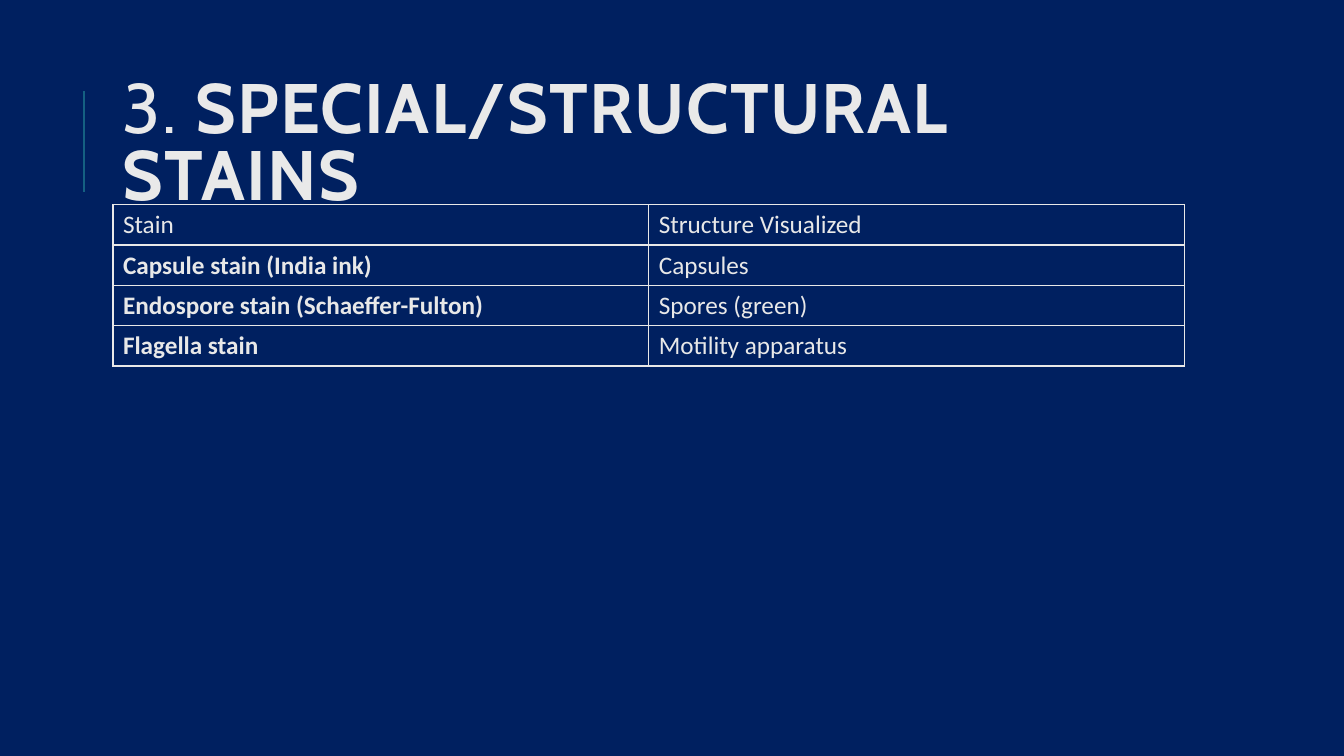
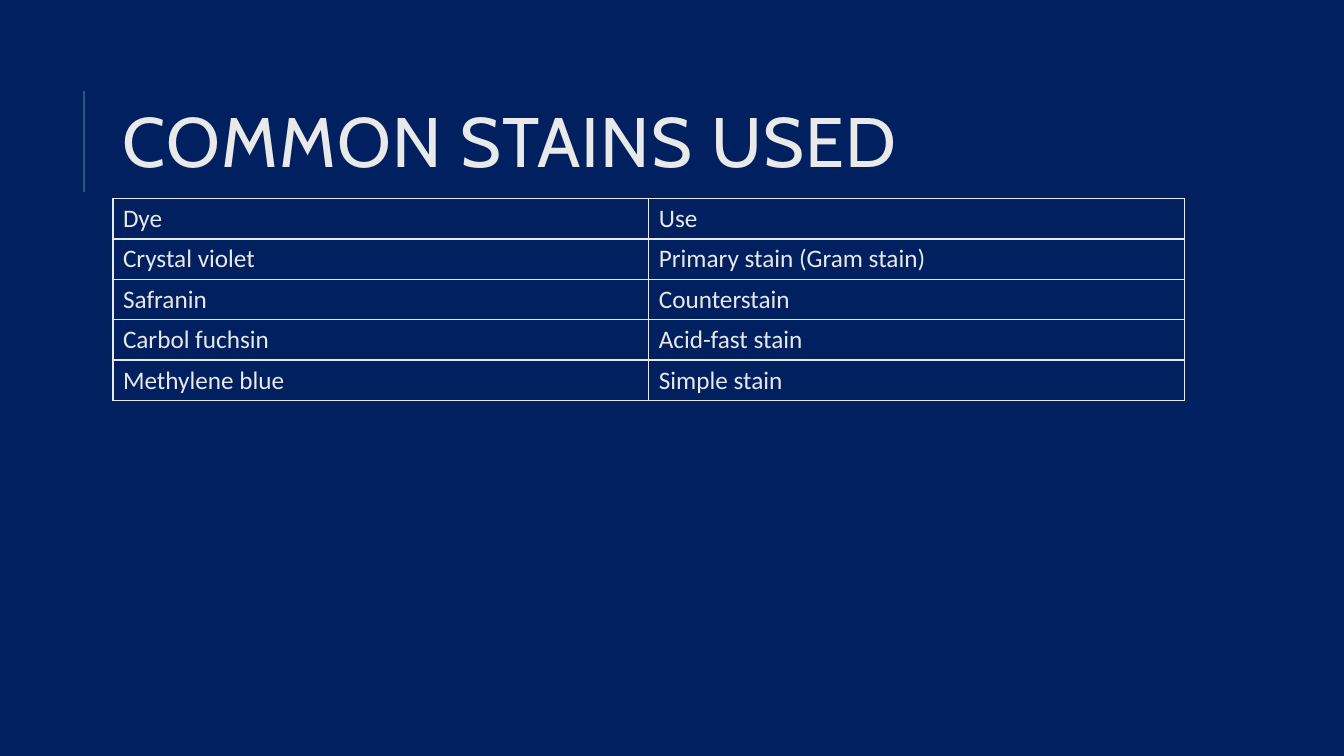
from dataclasses import dataclass

from lxml.etree import SubElement
from pptx import Presentation
from pptx.dml.color import RGBColor
from pptx.enum.shapes import MSO_CONNECTOR
from pptx.enum.text import MSO_ANCHOR
from pptx.oxml import parse_xml
from pptx.oxml.ns import nsdecls, qn
from pptx.slide import Slide
from pptx.table import _Cell
from pptx.text.text import _Paragraph
from pptx.util import Inches, Pt

COLORS = {"back": "002060", "title": "E9E9E9", "text": "E8E8E8", "rule": "156082"}
LEFT, WIDTH = 1.12, 10.63
ROW = 0.4


@dataclass
class Page:
    title: list[tuple[str, bool]]
    top: float
    rows: list[tuple[str, str]]
    bold: bool = False


PAGES = [
    Page(
        [("3. ", False), ("SPECIAL/STRUCTURAL STAINS", True)],
        2.03,
        [
            ("Stain", "Structure Visualized"),
            ("Capsule stain (India ink)", "Capsules"),
            ("Endospore stain (Schaeffer-Fulton)", "Spores (green)"),
            ("Flagella stain", "Motility apparatus"),
        ],
        bold=True,
    ),
    Page(
        [("COMMON STAINS USED", False)],
        1.97,
        [
            ("Dye", "Use"),
            ("Crystal violet", "Primary stain (Gram stain)"),
            ("Safranin", "Counterstain"),
            ("Carbol fuchsin", "Acid-fast stain"),
            ("Methylene blue", "Simple stain"),
        ],
    ),
]


def paint(name: str) -> RGBColor:
    return RGBColor.from_string(COLORS[name])


def write(para: _Paragraph, text: str, *, size: float = 18, face: str = "Calibri",
          color: str = "text", bold: bool = False, space: float = 0) -> None:
    """Add one run; space is the letter spacing in points."""
    run = para.add_run()
    run.text = text
    font = run.font
    font.size, font.name, font.bold = Pt(size), face, bold
    font.color.rgb = paint(color)
    if space:
        run._r.get_or_add_rPr().set("spc", str(round(space * 100)))


def add_rule(slide: Slide) -> None:
    x = Inches(0.83)
    rule = slide.shapes.add_connector(
        MSO_CONNECTOR.STRAIGHT, x, Inches(1.9), x, Inches(0.9))
    rule.line.color.rgb = paint("rule")
    rule.line.width = Pt(1.5)
    SubElement(rule._element.spPr, qn("a:effectLst"))


def add_title(slide: Slide, parts: list[tuple[str, bool]]) -> None:
    box = slide.shapes.add_textbox(
        Inches(LEFT), Inches(0.64), Inches(WIDTH), Inches(1.64))
    frame = box.text_frame
    frame.word_wrap = True
    frame.vertical_anchor = MSO_ANCHOR.MIDDLE
    para = frame.paragraphs[0]
    para.line_spacing = 0.8
    for text, bold in parts:
        write(para, text, size=50, face="Cabin", color="title", bold=bold, space=1)


def frame_cell(cell: _Cell) -> None:
    """Clear the fill and draw a thin line on all four sides."""
    cell.fill.background()
    props = cell._tc.get_or_add_tcPr()
    for spot, side in enumerate(("lnL", "lnR", "lnT", "lnB")):
        props.insert(spot, parse_xml(
            f'<a:{side} {nsdecls("a")} w="{Pt(1)}"><a:solidFill>'
            f'<a:srgbClr val="{COLORS["text"]}"/></a:solidFill></a:{side}>'))


def add_grid(slide: Slide, page: Page) -> None:
    count = len(page.rows)
    table = slide.shapes.add_table(
        count, 2, Inches(LEFT), Inches(page.top),
        Inches(WIDTH), Inches(ROW * count)).table
    table.horz_banding = False
    for r, row in enumerate(page.rows):
        for c, text in enumerate(row):
            cell = table.cell(r, c)
            cell.vertical_anchor = MSO_ANCHOR.MIDDLE
            frame_cell(cell)
            bold = page.bold and r > 0 and c == 0
            write(cell.text_frame.paragraphs[0], text, bold=bold)


def main() -> None:
    deck = Presentation()
    deck.slide_width, deck.slide_height = Inches(13.33), Inches(7.5)
    back = deck.slide_master.background.fill
    back.solid()
    back.fore_color.rgb = paint("back")
    for page in PAGES:
        slide = deck.slides.add_slide(deck.slide_layouts[6])
        add_rule(slide)
        add_title(slide, page.title)
        add_grid(slide, page)
    deck.save("out.pptx")


if __name__ == "__main__":
    main()
